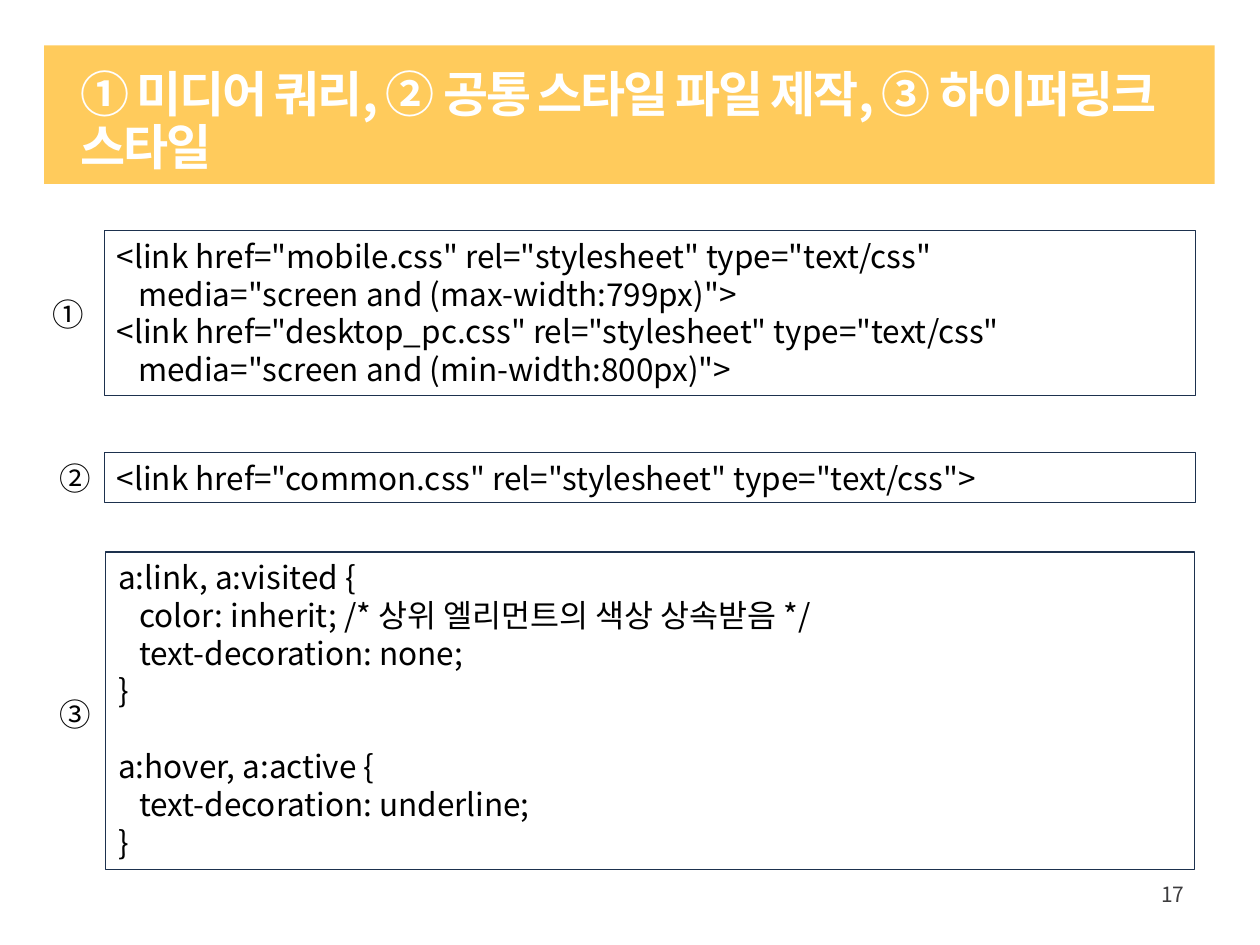
import pptx
import pptx.dml.color
import pptx.enum.shapes
import pptx.enum.text
import pptx.oxml
import pptx.oxml.ns
import pptx.util
from pptx.util import Inches

THEME = {
    "font": "Noto Sans CJK KR",
    "band": "FFCB5C",
    "title": "FFFFFF",
    "text": "000000",
    "border": "1D314E",
    "number": "3D3C3E",
    "title_size": 28,
    "code_size": 18,
    "number_size": 12,
    "border_width": 0.75,
    "rule_gap": 21.6,
}

TITLE = "① 미디어 쿼리, ② 공통 스타일 파일 제작, ③ 하이퍼링크 스타일"
SLIDE_NUMBER = "17"

# Each code box holds groups of lines; a line-high gap parts the groups.
CODE_BOXES = [
    {
        "box": (0.83, 1.83, 8.66, 1.31),
        "marker": ("①", 0.32, 2.29, 0.54),
        "groups": [[
            '<link href="mobile.css" rel="stylesheet" type="text/css"',
            '   media="screen and (max-width:799px)">',
            '<link href="desktop_pc.css" rel="stylesheet" type="text/css"',
            '   media="screen and (min-width:800px)">',
        ]],
    },
    {
        "box": (0.83, 3.59, 8.66, 0.4),
        "marker": ("②", 0.37, 3.59, 0.45),
        "groups": [['<link href="common.css" rel="stylesheet" type="text/css">']],
    },
    {
        "box": (0.84, 4.38, 8.64, 2.52),
        "marker": ("③", 0.37, 5.47, 0.45),
        "groups": [
            [
                "a:link, a:visited {",
                "   color: inherit; /* 상위 엘리먼트의 색상 상속받음 */",
                "   text-decoration: none;",
                "}",
            ],
            [
                "a:hover, a:active {",
                "   text-decoration: underline;",
                "}",
            ],
        ],
    },
]
MARKER_HEIGHT = 0.4


def color(name):
    return pptx.dml.color.RGBColor.from_string(THEME[name])


def add_run(paragraph, text, size, color_name, bold=False):
    run = paragraph.add_run()
    run.text = text
    run.font.size = pptx.util.Pt(THEME[size])
    run.font.bold = bold
    run.font.color.rgb = color(color_name)
    run.font.name = THEME["font"]
    east_asian = pptx.oxml.parse_xml(
        f'<a:ea {pptx.oxml.ns.nsdecls("a")} typeface="{THEME["font"]}"/>')
    run.font._element.append(east_asian)
    return run


def add_rectangle(slide, box):
    shape = slide.shapes.add_shape(
        pptx.enum.shapes.MSO_SHAPE.RECTANGLE, *map(Inches, box))
    shape.shadow.inherit = False
    return shape


def add_label(slide, box, text, size, color_name, alignment, wrap):
    label = slide.shapes.add_textbox(*map(Inches, box))
    label.text_frame.word_wrap = wrap
    paragraph = label.text_frame.paragraphs[0]
    paragraph.alignment = alignment
    add_run(paragraph, text, size, color_name)


def add_title(slide):
    title = slide.shapes.title
    band = add_rectangle(slide, (0.35, 0.36, 9.29, 1.1))
    band.fill.solid()
    band.fill.fore_color.rgb = color("band")
    band.line.fill.background()
    title.element.addprevious(band.element)

    title.left, title.top, title.width, title.height = map(
        Inches, (0.64, 0.56, 9.17, 0.85))
    frame = title.text_frame
    frame.margin_left = frame.margin_top = 0
    frame.margin_right = frame.margin_bottom = 0
    frame.word_wrap = True
    frame.auto_size = pptx.enum.text.MSO_AUTO_SIZE.SHAPE_TO_FIT_TEXT
    frame.vertical_anchor = pptx.enum.text.MSO_ANCHOR.TOP
    paragraph = frame.paragraphs[0]
    paragraph.alignment = pptx.enum.text.PP_ALIGN.LEFT
    paragraph.line_spacing = 0.9
    paragraph.space_before = pptx.util.Pt(0)
    run = add_run(paragraph, TITLE, "title_size", "title", bold=True)
    run.font._element.set("spc", "-120")


def add_code_box(slide, box, groups):
    shape = add_rectangle(slide, box)
    shape.fill.background()
    shape.line.color.rgb = color("border")
    shape.line.width = pptx.util.Pt(THEME["border_width"])
    frame = shape.text_frame
    frame.word_wrap = True
    frame.vertical_anchor = pptx.enum.text.MSO_ANCHOR.TOP
    for group_index, lines in enumerate(groups):
        for line_index, line in enumerate(lines):
            is_first = group_index == line_index == 0
            paragraph = frame.paragraphs[0] if is_first else frame.add_paragraph()
            paragraph.alignment = pptx.enum.text.PP_ALIGN.LEFT
            if group_index and line_index == 0:
                paragraph.space_before = pptx.util.Pt(THEME["rule_gap"])
            add_run(paragraph, line, "code_size", "text")


def main():
    presentation = pptx.Presentation()
    presentation.slide_width = Inches(10)
    presentation.slide_height = Inches(7.5)
    title_only = presentation.slide_layouts.get_by_name("Title Only")
    slide = presentation.slides.add_slide(title_only)

    align = pptx.enum.text.PP_ALIGN
    add_title(slide)
    for entry in CODE_BOXES:
        add_code_box(slide, entry["box"], entry["groups"])
        marker, left, top, width = entry["marker"]
        add_label(slide, (left, top, width, MARKER_HEIGHT), marker,
                  "code_size", "text", align.LEFT, wrap=False)
    add_label(slide, (7.17, 6.95, 2.33, 0.4), SLIDE_NUMBER,
              "number_size", "number", align.RIGHT, wrap=True)
    presentation.save("out.pptx")


if __name__ == "__main__":
    main()
